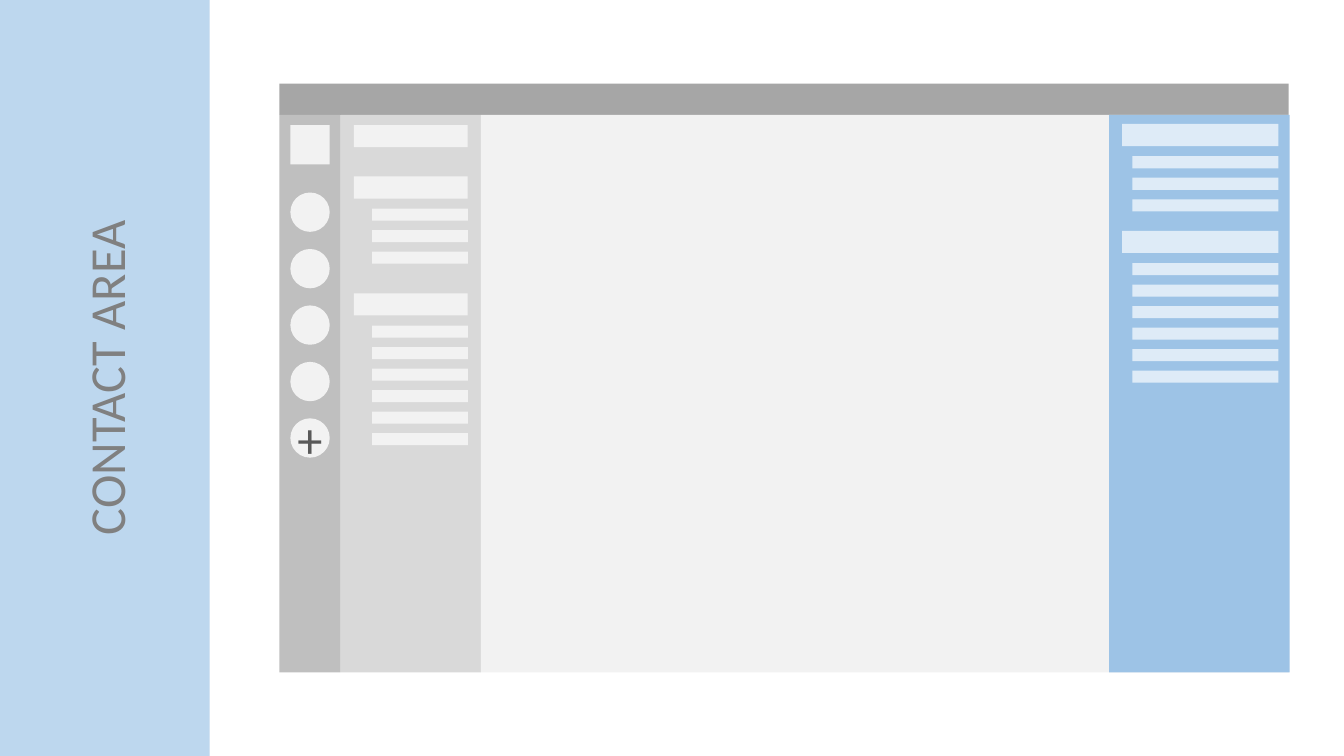
from pptx import Presentation
from pptx.dml.color import RGBColor
from pptx.enum.shapes import MSO_SHAPE as Preset
from pptx.enum.text import MSO_ANCHOR as Anchor, PP_ALIGN as Align
from pptx.util import Inches, Pt

COLORS = {
    "title_bar": "A6A6A6",
    "rail": "BFBFBF",
    "sidebar": "D9D9D9",
    "light": "F2F2F2",
    "banner": "BDD7EE",
    "contacts": "9DC3E6",
    "contact_row": "DEEBF7",
    "banner_text": "808080",
    "plus": "595959",
}
PANEL_TOP, PANEL_HEIGHT = 1.14, 5.53
ICON_LEFT, ICON_SIZE = 2.88, 0.39
CIRCLE_TOP, CIRCLE_PITCH, CIRCLE_COUNT = 1.91, 0.56, 5
HEADING_HEIGHT, ROW_HEIGHT = 0.22, 0.12
ROW_OFFSET, ROW_PITCH = 0.32, 0.64 / 3


def add_block(shapes, left, top, width, height, color, preset=Preset.RECTANGLE):
    """Add a flat filled shape without outline or shadow."""
    block = shapes.add_shape(
        preset, Inches(left), Inches(top), Inches(width), Inches(height)
    )
    block.shadow.inherit = False
    block.fill.solid()
    block.fill.fore_color.rgb = RGBColor.from_string(COLORS[color])
    block.line.fill.background()
    return block


def add_label(block, text, color):
    """Write a large centred label in a block."""
    frame = block.text_frame
    frame.vertical_anchor = Anchor.MIDDLE
    para = frame.paragraphs[0]
    para.text = text
    para.alignment = Align.CENTER
    para.font.name = "Calibri"
    para.font.size = Pt(36)
    para.font.color.rgb = RGBColor.from_string(COLORS[color])
    return frame


def add_window(page):
    """Add the grouped title bar and panels of the application window."""
    shapes = page.shapes.add_group_shape().shapes
    add_block(shapes, 2.77, 0.83, 10.01, 0.31, "title_bar")
    for left, width, color in (
        (2.77, 0.61, "rail"),
        (3.38, 1.39, "sidebar"),
        (4.77, 8.01, "light"),
    ):
        add_block(shapes, left, PANEL_TOP, width, PANEL_HEIGHT, color)


def add_banner(page):
    """Add the side banner with its upward-reading title."""
    banner = add_block(page.shapes, 0, 0, 2.08, 7.5, "banner")
    frame = add_label(banner, "CONTACT AREA", "banner_text")
    frame.word_wrap = True
    banner.element.txBody.bodyPr.set("vert", "vert270")


def add_icons(page):
    """Add the square icon and the column of circles ending in a plus."""
    add_block(page.shapes, ICON_LEFT, 1.24, ICON_SIZE, ICON_SIZE, "light")
    for index in range(CIRCLE_COUNT):
        top = CIRCLE_TOP + index * CIRCLE_PITCH
        circle = add_block(
            page.shapes, ICON_LEFT, top, ICON_SIZE, ICON_SIZE, "light", Preset.OVAL
        )
    frame = add_label(circle, "+", "plus")
    frame.margin_left = frame.margin_right = 0
    frame.margin_top = frame.margin_bottom = 0


def add_section(page, left, top, width, indent, row_count, color):
    """Add a heading bar and the indented rows below it."""
    add_block(page.shapes, left, top, width, HEADING_HEIGHT, color)
    for index in range(row_count):
        row_top = top + ROW_OFFSET + index * ROW_PITCH
        add_block(
            page.shapes, left + indent, row_top, width - indent, ROW_HEIGHT, color
        )


def main():
    """Build and save the contact area slide."""
    deck = Presentation()
    deck.slide_width, deck.slide_height = Inches(13.33), Inches(7.5)
    page = deck.slides.add_slide(deck.slide_layouts[6])
    add_window(page)
    add_banner(page)
    add_icons(page)
    for top, row_count in ((1.24, 0), (1.75, 3), (2.91, 6)):
        add_section(page, 3.51, top, 1.13, 0.18, row_count, "light")
    add_block(page.shapes, 11, PANEL_TOP, 1.79, PANEL_HEIGHT, "contacts")
    for top, row_count in ((1.23, 3), (2.29, 6)):
        add_section(page, 11.13, top, 1.55, 0.1, row_count, "contact_row")
    deck.save("out.pptx")


if __name__ == "__main__":
    main()
